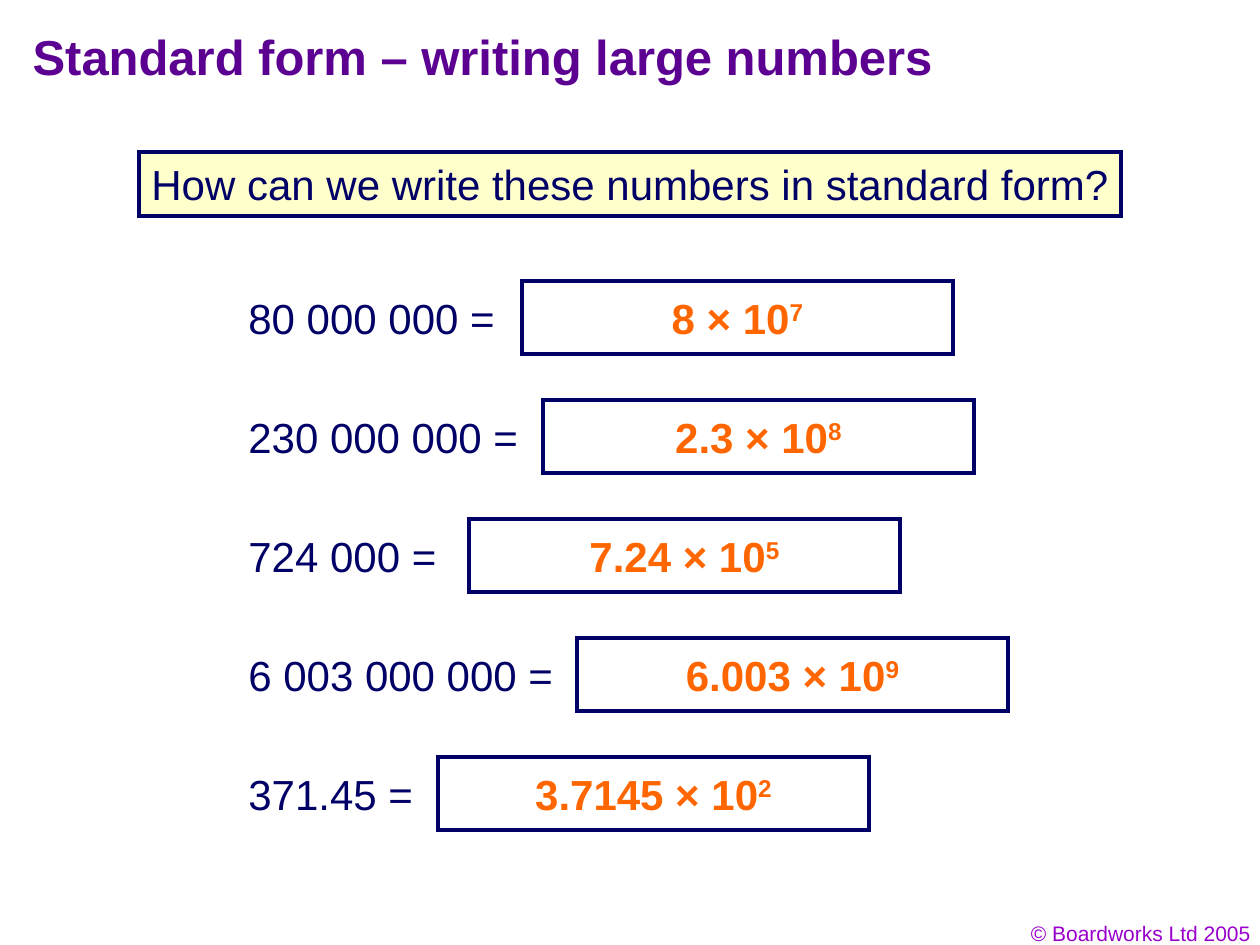
"""Build the slide on writing large numbers in standard form."""
from dataclasses import dataclass

from lxml.etree import SubElement
from pptx import Presentation
from pptx.dml.color import RGBColor
from pptx.enum.shapes import MSO_SHAPE as Shape
from pptx.enum.text import MSO_ANCHOR as Anchor, PP_ALIGN as Align
from pptx.oxml.ns import qn
from pptx.util import Emu, Pt

EMU_PER_PX = 914400 / 126


@dataclass(frozen=True)
class Theme:
    font: str = "Arial"
    ink: str = "000066"
    answer: str = "FF6600"
    heading: str = "5B0091"
    credit: str = "9900CC"
    paper: str = "FFFFFF"
    banner: str = "FFFFCC"
    title_size: int = 28
    body_size: int = 24
    credit_size: int = 12
    border: float = 2.25


def px(length):
    return Emu(round(length * EMU_PER_PX))


def write(frame, text, *, font, size, color, bold=False, power="",
          align=Align.LEFT, anchor=Anchor.MIDDLE, wrap=False):
    frame.word_wrap = wrap
    frame.vertical_anchor = anchor
    paragraph = frame.paragraphs[0]
    paragraph.alignment = align
    for part in filter(None, (text, power)):
        run = paragraph.add_run()
        run.text = part
        run.font.name, run.font.size, run.font.bold = font, Pt(size), bold
        run.font.color.rgb = RGBColor.from_string(color)
    if power:
        run.font._element.set("baseline", "30000")


class SlideBuilder:
    def __init__(self, slide, theme):
        self.slide, self.theme = slide, theme

    def title(self, text, left, top, width, height):
        heading = self.slide.shapes.title
        heading.left, heading.top = px(left), px(top)
        heading.width, heading.height = px(width), px(height)
        write(heading.text_frame, text, font=self.theme.font,
              size=self.theme.title_size, color=self.theme.heading,
              bold=True, anchor=Anchor.BOTTOM, wrap=True)

    def label(self, text, left, top, width, height, **style):
        style = {"size": self.theme.body_size, "color": self.theme.ink} | style
        label = self.slide.shapes.add_textbox(*map(px, (left, top, width, height)))
        write(label.text_frame, text, font=self.theme.font, **style)

    def box(self, text, left, top, width, height, fill, **style):
        box = self.slide.shapes.add_shape(
            Shape.RECTANGLE, *map(px, (left, top, width, height)))
        box.shadow.inherit = False
        box.fill.solid()
        box.fill.fore_color.rgb = RGBColor.from_string(fill)
        box.line.color.rgb = RGBColor.from_string(self.theme.ink)
        box.line.width = Pt(self.theme.border)
        SubElement(box.line._get_or_add_ln(), qn("a:miter"), lim="800000")
        write(box.text_frame, text, font=self.theme.font,
              size=self.theme.body_size, align=Align.CENTER, **style)


def main():
    theme = Theme()
    deck = Presentation()
    deck.slide_width, deck.slide_height = px(1260), px(945)
    builder = SlideBuilder(deck.slides.add_slide(deck.slide_layouts[5]), theme)

    builder.title("Standard form – writing large numbers", 20, 20, 1071, 72)
    builder.label("© Boardworks Ltd 2005", 969, 914, 294, 38,
                  size=theme.credit_size, color=theme.credit,
                  align=Align.RIGHT, anchor=Anchor.TOP, wrap=True)
    builder.box("How can we write these numbers in standard form?",
                139, 152, 982, 64, theme.banner, color=theme.ink)

    questions = [
        ("80 000 000 =", "8 × 10", "7", 522),
        ("230 000 000 =", "2.3 × 10", "8", 543),
        ("724 000 =", "7.24 × 10", "5", 469),
        ("6 003 000 000 =", "6.003 × 10", "9", 577),
        ("371.45 =", "3.7145 × 10", "2", 438),
    ]
    first_row, row_pitch = 281, 119
    number_left, number_height, answer_height, gap = 236, 63, 73, 2
    number_offset = (answer_height - number_height) // 2
    for row, (number, answer, power, answer_left) in enumerate(questions):
        top = first_row + row * row_pitch
        builder.label(number, number_left, top + number_offset,
                      answer_left - gap - number_left, number_height)
        builder.box(answer, answer_left, top, 431, answer_height, theme.paper,
                    color=theme.answer, bold=True, power=power)

    deck.save("out.pptx")


if __name__ == "__main__":
    main()
